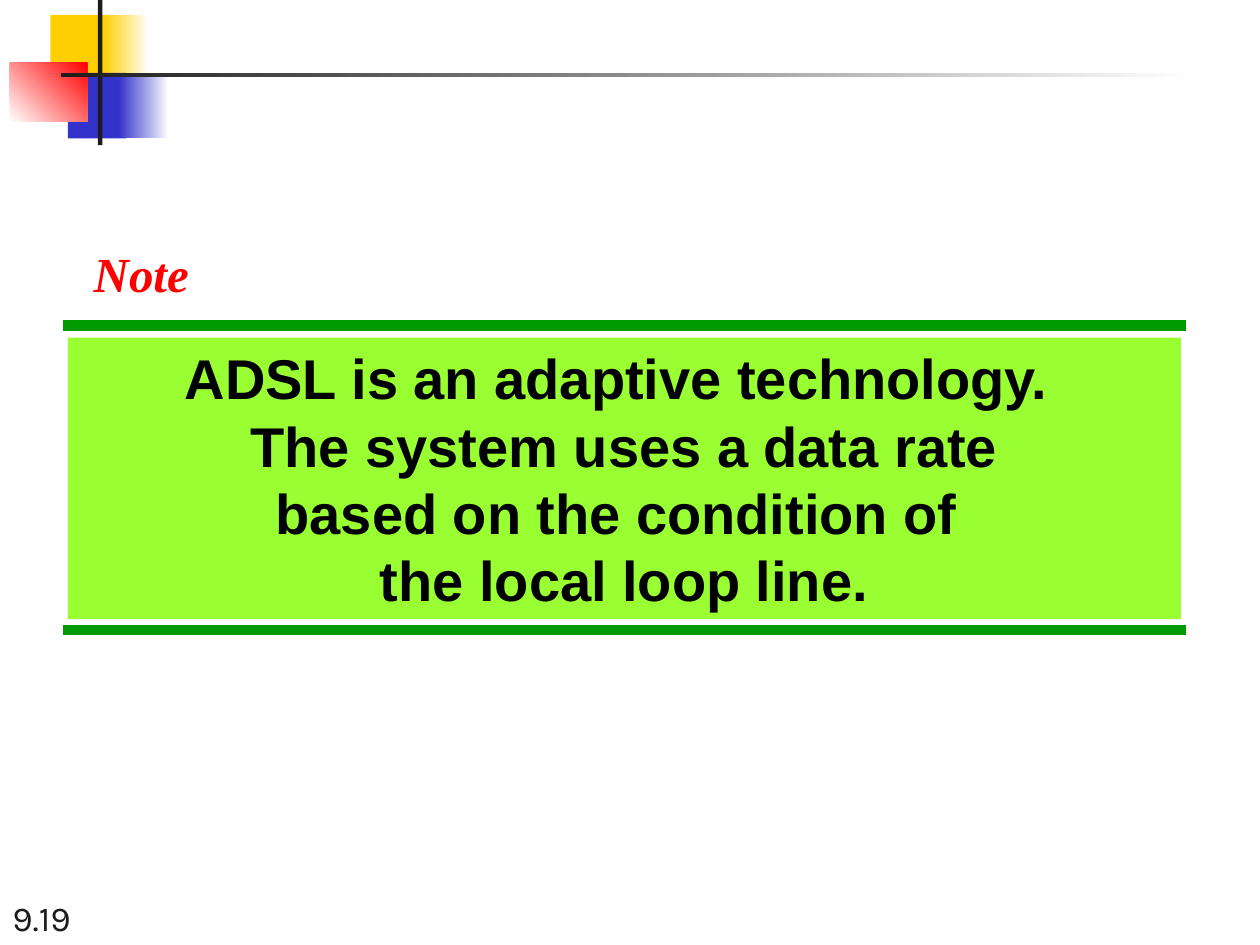
"""Build the ADSL note slide with its coloured corner ornament."""
from lxml import etree
from pptx import Presentation
from pptx.dml.color import RGBColor
from pptx.enum.shapes import MSO_CONNECTOR as CONNECTOR, MSO_SHAPE as SHAPE
from pptx.enum.text import MSO_ANCHOR as ANCHOR, PP_ALIGN as ALIGN
from pptx.oxml.ns import qn
from pptx.util import Pt


def color(hex_string):
    return RGBColor.from_string(hex_string)


def write(shape, text, font="Arial", size=32, fill="000000", bold=False,
          italic=False, align=ALIGN.LEFT, anchor=ANCHOR.TOP, wrap=True):
    frame = shape.text_frame
    frame.word_wrap = wrap
    frame.vertical_anchor = anchor
    for index, content in enumerate(text.split("\n")):
        paragraph = frame.add_paragraph() if index else frame.paragraphs[0]
        paragraph.text = content
        paragraph.alignment = align
        for run in paragraph.runs:
            run.font.name = font
            run.font.size = Pt(size)
            run.font.bold = bold
            run.font.italic = italic
            run.font.color.rgb = color(fill)


presentation = Presentation()
presentation.slide_width = Pt(720)
presentation.slide_height = Pt(540)
slide = presentation.slides.add_slide(presentation.slide_layouts[6])
shapes = slide.shapes

number_box = shapes.add_textbox(Pt(0), Pt(504), Pt(150), Pt(36))
write(number_box, "9.19", font="Karla", size=20, fill="1C1C1C", anchor=ANCHOR.BOTTOM)

rectangles = [
    (28.8, 8.5, 34.8, 37.5, ["FFCF01"], 0),
    (59.2, 8.5, 25.8, 37.5, ["FFCF01", "FFFFFF"], 0),
    (38.8, 41.6, 33.2, 37.5, ["3333CC"], 0),
    (67.8, 41.6, 28.8, 37.5, ["3333CC", "FFFFFF"], 0),
    (5.6, 36, 44.2, 33.4, ["FFFFFF", "FF0000"], 45),
    (56, 0, 2.5, 83, ["1C1C1C"], 0),
    (34.8, 41.8, 648, 2.5, ["1C1C1C", "FFFFFF"], 0),
    (38.8, 193, 636, 160.9, ["99FF33"], 0),
]
for left, top, width, height, colors, angle in rectangles:
    rectangle = shapes.add_shape(SHAPE.RECTANGLE, Pt(left), Pt(top), Pt(width), Pt(height))
    rectangle.shadow.inherit = False
    rectangle.line.fill.background()
    if len(colors) == 1:
        rectangle.fill.solid()
        rectangle.fill.fore_color.rgb = color(colors[0])
    else:
        rectangle.fill.gradient()
        rectangle.fill.gradient_angle = angle
        for stop, stop_color in zip(rectangle.fill.gradient_stops, colors):
            stop.color.rgb = color(stop_color)

write(rectangle, "ADSL is an adaptive technology. \vThe system uses a data rate\n"
      "based on the condition of \vthe local loop line.",
      bold=True, align=ALIGN.CENTER)

for y in (186, 360):
    rule = shapes.add_connector(CONNECTOR.STRAIGHT, Pt(36), Pt(y), Pt(678), Pt(y))
    rule.line.color.rgb = color("009900")
    rule.line.width = Pt(6)
    etree.SubElement(rule._element.spPr, qn("a:effectLst"))

note_box = shapes.add_textbox(Pt(46.5), Pt(135.5), Pt(69), Pt(41))
write(note_box, "Note", font="Times New Roman", size=28, fill="FF0000",
      bold=True, italic=True, wrap=False)

presentation.save("out.pptx")
